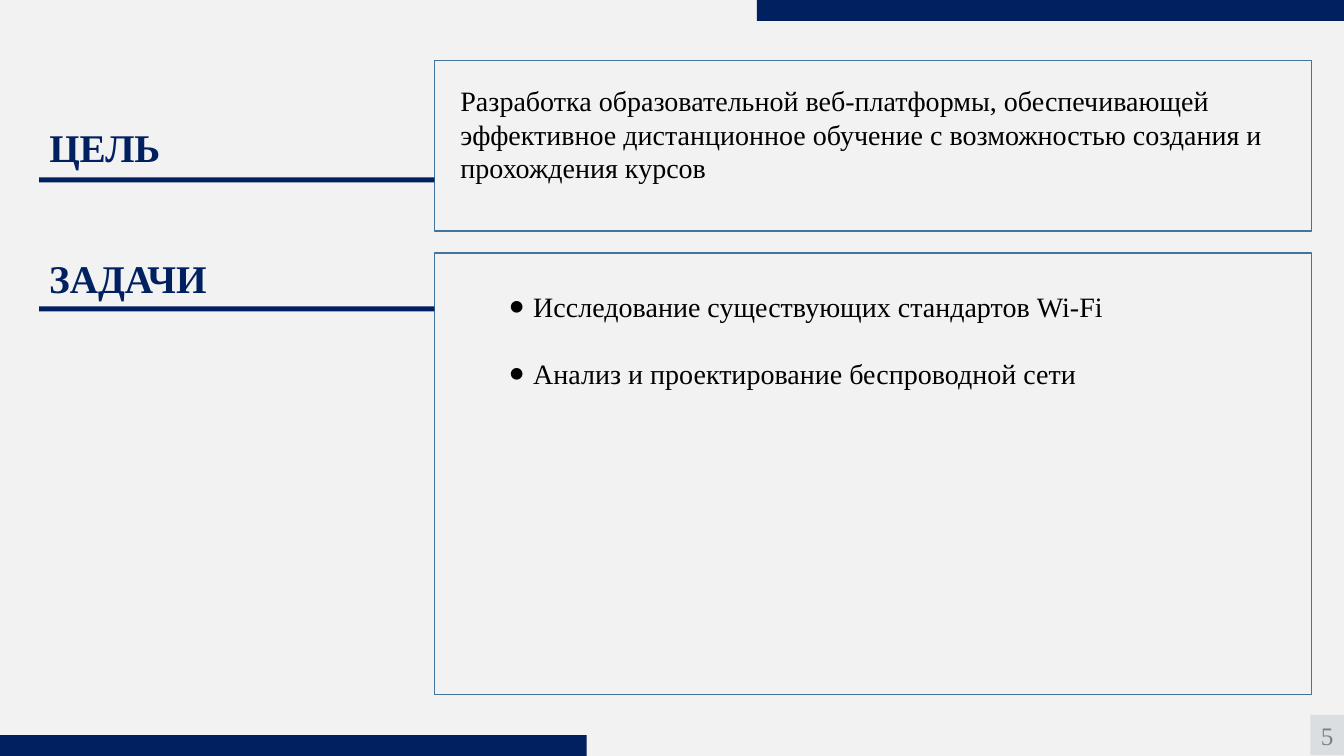
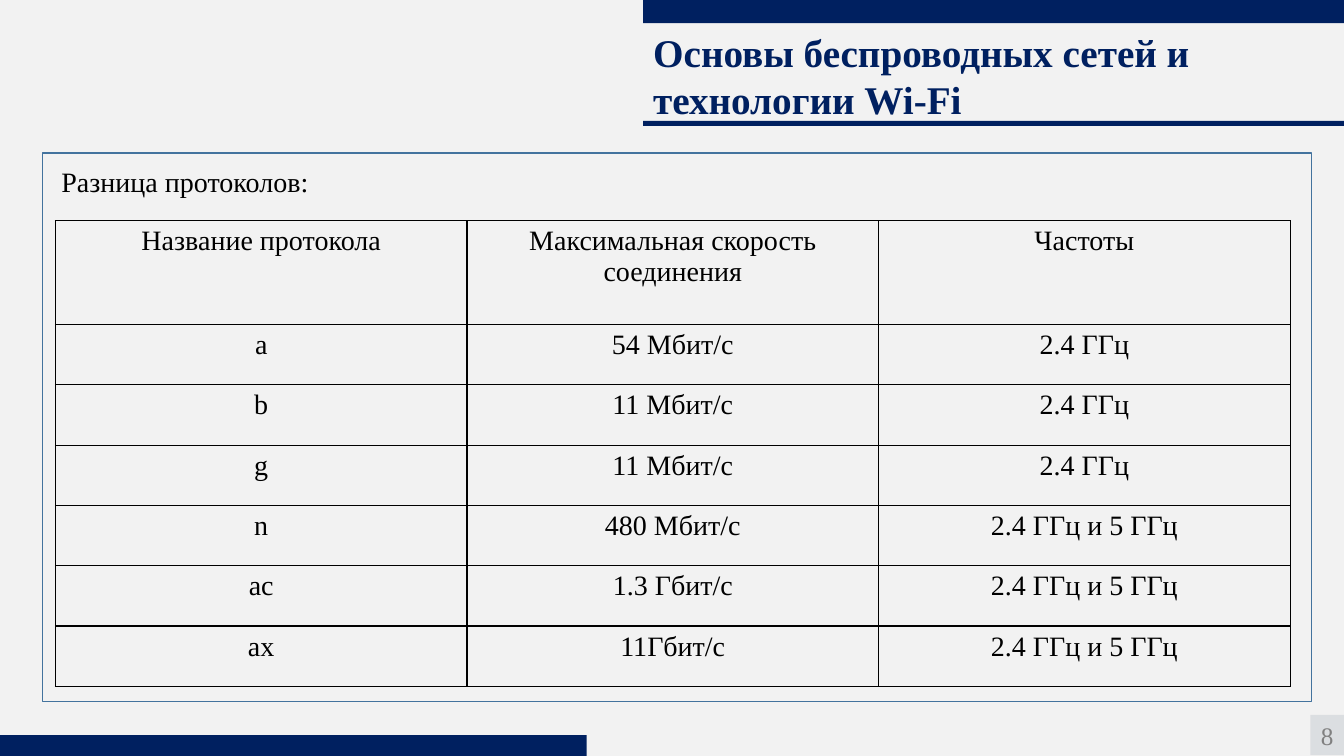
from dataclasses import dataclass

import lxml.etree
import pptx
import pptx.dml.color
import pptx.enum.shapes
import pptx.enum.text
import pptx.oxml
import pptx.oxml.ns
import pptx.util

Pt = pptx.util.Pt
ALIGN = pptx.enum.text.PP_ALIGN
ANCHOR = pptx.enum.text.MSO_ANCHOR


@dataclass(frozen=True)
class Box:
    left: float
    top: float
    width: float
    height: float

    @property
    def lengths(self):
        return [Pt(value) for value in (self.left, self.top, self.width, self.height)]

    def inset(self, left, top, right, bottom):
        return Box(self.left + left, self.top + top,
                   self.width - left - right, self.height - top - bottom)


class Theme:
    """Colours, type styles and sizes shared by all slides."""
    paper = "F2F2F2"
    navy = "002060"
    tile = "DBDEE1"
    frame = "43739E"
    ink = "000000"
    face = "Times New Roman"
    heading = ({"name": face, "size": Pt(28), "bold": True}, navy)
    text = ({"name": face, "size": Pt(20), "bold": False}, ink)
    number = ({"name": face, "size": Pt(18), "bold": False}, "808080")
    leading = 1.2
    rule = 3.6
    line = 1


SLIDE = Box(0, 0, 960, 540)
FOOTER_BAND = Box(0, 525, 419, 15)
NUMBER_TILE = Box(936, 510.6, 24, 28.8)


def colour(code):
    return pptx.dml.color.RGBColor.from_string(code)


def assign(target, values):
    for name, value in values.items():
        setattr(target, name, value)


def write(holder, lines, style, gap=0, align=ALIGN.LEFT, leading=Theme.leading,
          anchor=ANCHOR.TOP, wrap=True):
    """Fill a shape with styled paragraphs, gap points apart."""
    font_values, ink = style
    frame = holder.text_frame
    assign(frame, {"word_wrap": wrap, "vertical_anchor": anchor,
                   "auto_size": pptx.enum.text.MSO_AUTO_SIZE.NONE})
    frame.text = "\n".join(lines)
    for index, para in enumerate(frame.paragraphs):
        assign(para, {"alignment": align, "space_after": Pt(0),
                      "space_before": Pt(gap if index else 0),
                      "line_spacing": Pt(font_values["size"].pt * leading)})
        for span in para.runs:
            assign(span.font, font_values)
            span.font.color.rgb = colour(ink)


def move(holder, box):
    assign(holder, dict(zip(("left", "top", "width", "height"), box.lengths)))
    return holder


def text_box(page, box):
    return page.shapes.add_textbox(*box.lengths)


def rectangle(page, box, fill=None, line=None):
    shape = page.shapes.add_shape(pptx.enum.shapes.MSO_SHAPE.RECTANGLE, *box.lengths)
    shape.shadow.inherit = False
    if fill:
        shape.fill.solid()
        shape.fill.fore_color.rgb = colour(fill)
    else:
        shape.fill.background()
    if line:
        shape.line.color.rgb = colour(line)
        shape.line.width = Pt(Theme.line)
    else:
        shape.line.fill.background()
    return shape


def add_bullets(holder, indent):
    """Give every paragraph a round bullet with a hanging indent."""
    for para in holder.text_frame.paragraphs:
        props = para._p.get_or_add_pPr()
        props.set("marL", str(Pt(indent)))
        props.set("indent", str(-Pt(indent)))
        for tag, values in (("a:buSzPct", {"val": "90000"}),
                            ("a:buFont", {"typeface": "Calibri"}),
                            ("a:buChar", {"char": "●"})):
            lxml.etree.SubElement(props, pptx.oxml.ns.qn(tag), values)


def border_cell(cell):
    props = cell._tc.get_or_add_tcPr()
    for index, side in enumerate(("lnL", "lnR", "lnT", "lnB")):
        edge = pptx.oxml.parse_xml(
            f'<a:{side} {pptx.oxml.ns.nsdecls("a")} w="{Pt(Theme.line)}"><a:solidFill>'
            f'<a:srgbClr val="{Theme.ink}"/></a:solidFill></a:{side}>')
        props.insert(index, edge)


def start_page(deck, layout, number, band):
    """Add a slide with its top band, bottom band and number tile."""
    page = deck.slides.add_slide(deck.slide_layouts.get_by_name(layout))
    for area in (band, FOOTER_BAND):
        rectangle(page, area, Theme.navy)
    tile = rectangle(page, NUMBER_TILE, Theme.tile)
    write(tile, [str(number)], Theme.number, align=ALIGN.CENTER,
          anchor=ANCHOR.MIDDLE, wrap=False)
    return page


def underlined_heading(page, holder, text, box, rule_width):
    """Place a heading with a rule along the bottom of its box."""
    write(move(holder, box), [text], Theme.heading)
    rectangle(page, Box(box.left, box.top + box.height - Theme.rule,
                        rule_width, Theme.rule), Theme.navy)


def protocol_table(page, box, rows, header_height):
    holder = page.shapes.add_table(len(rows), len(rows[0]), *box.lengths)
    table = holder.table
    assign(table, {"first_row": False, "horz_banding": False})
    for column in table.columns:
        column.width = Pt(box.width / len(rows[0]))
    row_height = (box.height - header_height) / (len(rows) - 1)
    for index, values in enumerate(rows):
        table.rows[index].height = Pt(row_height if index else header_height)
        for cell, value in zip(table.rows[index].cells, values):
            cell.fill.background()
            border_cell(cell)
            cell.text = value
            para = cell.text_frame.paragraphs[0]
            para.alignment = ALIGN.CENTER
            font_values, ink = Theme.text
            assign(para.runs[0].font, font_values)
            para.runs[0].font.color.rgb = colour(ink)


def goals_page(deck):
    page = start_page(deck, "Title and Content", 5, Box(540.7, 0, 419.3, 15))
    goal_frame = Box(310.3, 43.2, 626.4, 121.7)
    task_frame = Box(310.3, 180.7, 626.4, 315.4)
    for area in (goal_frame, task_frame):
        rectangle(page, area, line=Theme.frame)

    # Headings beside the frames
    goal_heading = Box(28, 84.2, 296.6, 46.1)
    task_heading = Box(28, 177.8, 296.6, 44.7)
    rule_width = goal_frame.left - goal_heading.left
    underlined_heading(page, page.shapes.title, "ЦЕЛЬ", goal_heading, rule_width)
    underlined_heading(page, text_box(page, task_heading), "ЗАДАЧИ",
                       task_heading, rule_width)

    # Goal and list of tasks
    write(text_box(page, goal_frame.inset(11.5, 13, 11.5, 4)),
          ["Разработка образовательной веб-платформы, обеспечивающей эффективное "
           "дистанционное обучение с возможностью создания и прохождения курсов"],
          Theme.text)
    tasks = move(page.placeholders[1], task_frame.inset(46.1, 22.3, 15, 20))
    write(tasks, ["Исследование существующих стандартов Wi-Fi",
                  "Анализ и проектирование беспроводной сети"], Theme.text, gap=24)
    add_bullets(tasks, 17.3)


def protocols_page(deck):
    band = Box(459.4, 0, 500.6, 16.6)
    page = start_page(deck, "Title Only", 8, band)
    underlined_heading(page, page.shapes.title,
                       "Основы беспроводных сетей и технологии Wi-Fi",
                       Box(band.left, band.height, band.width, 73.4), band.width)

    # Framed table with its caption
    frame = Box(30.2, 109.4, 906.5, 391.7)
    rectangle(page, frame, line=Theme.frame)
    write(text_box(page, Box(frame.left + 6.5, frame.top + 4.4, 193, 31.7)),
          ["Разница протоколов:"], Theme.text, wrap=False)
    low, both = "2.4 ГГц", "2.4 ГГц и 5 ГГц"
    protocol_table(page, frame.inset(9.4, 48.3, 15.1, 10.8), [
        ("Название протокола", "Максимальная скорость соединения", "Частоты"),
        ("a", "54 Мбит/с", low),
        ("b", "11 Мбит/с", low),
        ("g", "11 Мбит/с", low),
        ("n", "480 Мбит/с", both),
        ("ac", "1.3 Гбит/с", both),
        ("ax", "11Гбит/с", both),
    ], header_height=74.2)


def main():
    deck = pptx.Presentation()
    deck.slide_width, deck.slide_height = Pt(SLIDE.width), Pt(SLIDE.height)
    backdrop = deck.slide_master.background.fill
    backdrop.solid()
    backdrop.fore_color.rgb = colour(Theme.paper)
    goals_page(deck)
    protocols_page(deck)
    deck.save("out.pptx")


if __name__ == "__main__":
    main()
